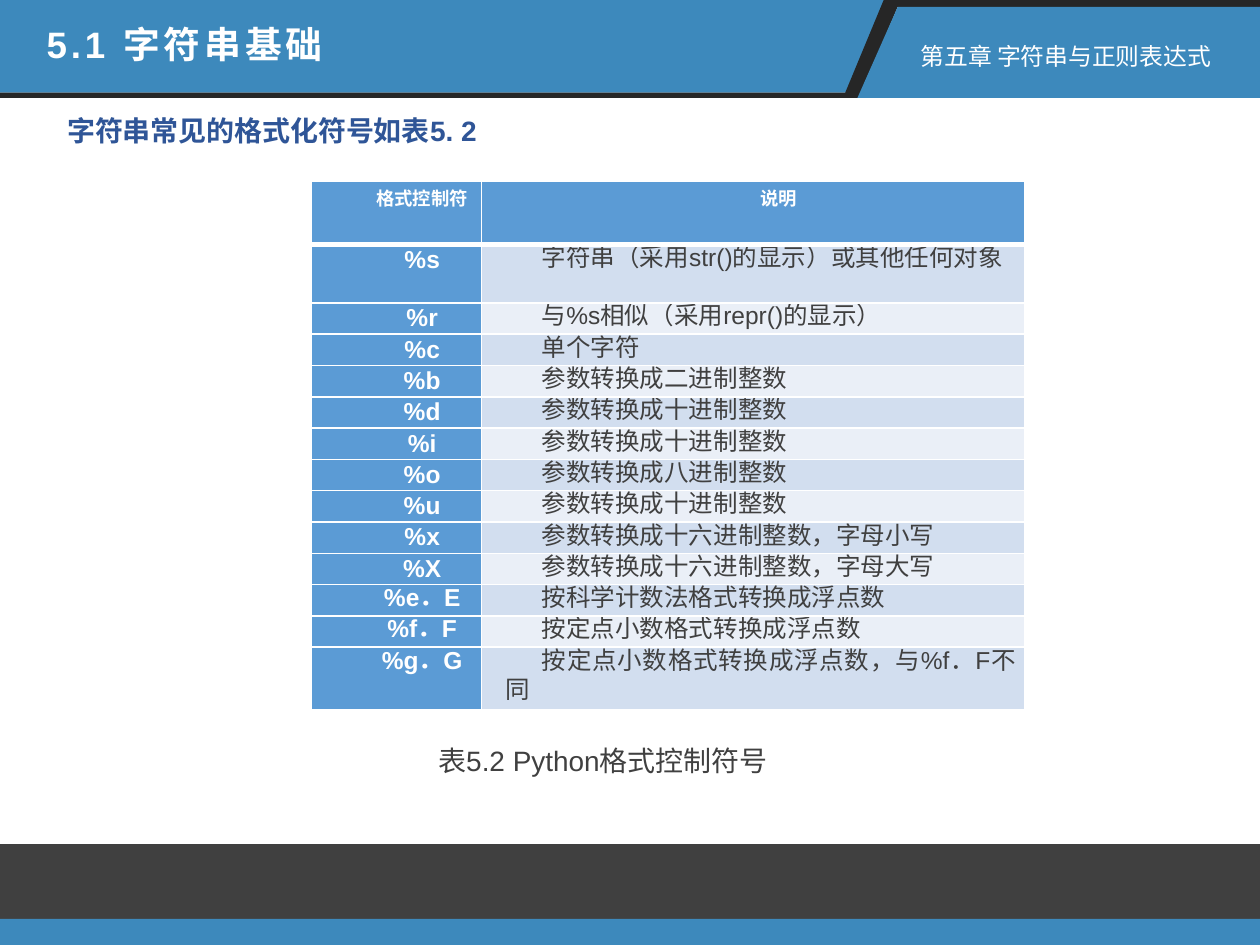
from dataclasses import dataclass

from lxml import etree
from pptx import Presentation
from pptx.dml.color import RGBColor
from pptx.enum.lang import MSO_LANGUAGE_ID
from pptx.enum.shapes import MSO_SHAPE
from pptx.enum.text import MSO_ANCHOR, MSO_AUTO_SIZE, PP_ALIGN
from pptx.oxml.ns import qn
from pptx.util import Pt

RECT = MSO_SHAPE.RECTANGLE
LEFT, CENTER, JUST = PP_ALIGN.LEFT, PP_ALIGN.CENTER, PP_ALIGN.JUSTIFY
TOP = MSO_ANCHOR.TOP
FIXED = MSO_AUTO_SIZE.NONE
CHINESE = MSO_LANGUAGE_ID.SIMPLIFIED_CHINESE

WIDE, HIGH = 720, 540
INDENT = 20.9

ROWS = [
    ("格式控制符", "说明"),
    ("%s", "字符串（采用str()的显示）或其他任何对象"),
    ("%r", "与%s相似（采用repr()的显示）"),
    ("%c", "单个字符"),
    ("%b", "参数转换成二进制整数"),
    ("%d", "参数转换成十进制整数"),
    ("%i", "参数转换成十进制整数"),
    ("%o", "参数转换成八进制整数"),
    ("%u", "参数转换成十进制整数"),
    ("%x", "参数转换成十六进制整数，字母小写"),
    ("%X", "参数转换成十六进制整数，字母大写"),
    ("%e．E", "按科学计数法格式转换成浮点数"),
    ("%f．F", "按定点小数格式转换成浮点数"),
    ("%g．G", "按定点小数格式转换成浮点数，与%f．F不同"),
]
COLS = [97.2, 310.3]
TALL = [36, 33.4] + [17.9] * 11 + [35.5]


@dataclass(frozen=True)
class Theme:
    """Colours and type sizes of the slide."""

    font: str = "Arial"
    blue: str = "3D89BC"
    black: str = "262626"
    gray: str = "404040"
    navy: str = "2F5597"
    white: str = "FFFFFF"
    head: str = "5B9BD5"
    odd: str = "D2DEEF"
    even: str = "EAEFF7"
    title: float = 21
    body: float = 16
    label: float = 13.6
    cell: float = 14
    small: float = 10.5


class Deck:
    """Holds the style and the current slide."""

    def __init__(self, theme):
        """Open a title-only slide."""
        self.theme = theme
        self.file = Presentation()
        self.file.slide_width, self.file.slide_height = Pt(WIDE), Pt(HIGH)
        self.slide = self.file.slides.add_slide(self.file.slide_layouts[5])
        self.shapes = self.slide.shapes

    def paint(self, shape, color):
        """Give a shape a flat fill without line or shadow."""
        shape.shadow.inherit = False
        shape.fill.solid()
        shape.fill.fore_color.rgb = RGBColor.from_string(color)
        shape.line.fill.background()

    def bar(self, box, color):
        """Draw a plain rectangle."""
        self.paint(self.shapes.add_shape(RECT, *map(Pt, box)), color)

    def outline(self, points, color):
        """Draw a closed polygon."""
        pen = self.shapes.build_freeform(*points[0], scale=Pt(1))
        pen.add_line_segments(points[1:], close=True)
        self.paint(pen.convert_to_shape(), color)

    def letter(self, frame, text, size, color, bold=False, align=LEFT):
        """Set one styled paragraph and return it."""
        frame.text = text
        para = frame.paragraphs[0]
        para.alignment = align
        for run in para.runs:
            font = run.font
            font.name, font.size, font.bold = self.theme.font, Pt(size), bold
            font.color.rgb = RGBColor.from_string(color)
            font.language_id = CHINESE
        return para

    def indent(self, para, left, first):
        """Set the left margin and first-line indent."""
        props = para._p.get_or_add_pPr()
        props.set("marL", str(Pt(left)))
        props.set("indent", str(Pt(first)))

    def title(self, box, text):
        """Fill the title and bring it in front of the banner."""
        shape = self.shapes.title
        shape.left, shape.top, shape.width, shape.height = map(Pt, box)
        frame = shape.text_frame
        para = self.letter(frame, text, self.theme.title, self.theme.white, True)
        frame.auto_size, frame.vertical_anchor = FIXED, TOP
        para.runs[0]._r.get_or_add_rPr().set("spc", "220")
        shape.element.getparent().append(shape.element)

    def text(self, box, text, size, color, bold=False):
        """Add a wrapped text box and return its paragraph."""
        frame = self.shapes.add_textbox(*map(Pt, box)).text_frame
        frame.word_wrap = True
        return self.letter(frame, text, size, color, bold)

    def border(self, cell, row):
        """Rule a cell in white, thick below the header."""
        props = cell._tc.get_or_add_tcPr()
        thick = {("lnB", 0), ("lnT", 1)}
        for spot, side in enumerate(("lnL", "lnR", "lnT", "lnB")):
            width = Pt(3 if (side, row) in thick else 1)
            line = etree.Element(qn(f"a:{side}"), w=str(width))
            fill = etree.SubElement(line, qn("a:solidFill"))
            etree.SubElement(fill, qn("a:srgbClr"), val=self.theme.white)
            props.insert(spot, line)

    def cell(self, cell, text, row, col):
        """Format one table cell by its row and column."""
        look = self.theme
        key = row == 0 or col == 0
        cell.margin_left = cell.margin_right = Pt(5)
        cell.margin_top = cell.margin_bottom = 0
        cell.fill.solid()
        fill = look.head if key else look.odd if row % 2 else look.even
        cell.fill.fore_color.rgb = RGBColor.from_string(fill)
        para = self.letter(
            cell.text_frame, text, look.cell if row else look.small,
            look.white if key else look.gray, key, CENTER if key else JUST)
        para.line_spacing = Pt(16.7)
        self.indent(para, 8.6, INDENT)
        self.border(cell, row)

    def table(self, left, top):
        """Add the table of format symbols."""
        size = map(Pt, (left, top, sum(COLS), sum(TALL)))
        grid = self.shapes.add_table(len(ROWS), len(COLS), *size).table
        for col, width in zip(grid.columns, COLS):
            col.width = Pt(width)
        for row, (texts, height) in enumerate(zip(ROWS, TALL)):
            grid.rows[row].height = Pt(height)
            for col, text in enumerate(texts):
                self.cell(grid.cell(row, col), text, row, col)


def main():
    """Build and save the slide."""
    look = Theme()
    deck = Deck(look)
    deck.outline([(0, 0), (WIDE, 0), (507.6, 0), (485.3, 52.6), (0, 52.6)],
                 look.blue)
    deck.outline([(505.4, 0), (WIDE, 0), (WIDE, 3.6), (513.4, 3.6),
                  (491, 56.2), (0, 56.2), (0, 52.6), (483.1, 52.6)],
                 look.black)
    deck.outline([(513.4, 3.6), (WIDE, 3.6), (WIDE, 56.2), (490.5, 56.2)],
                 look.blue)
    deck.bar((0, 482.4, WIDE, 43), look.gray)
    deck.bar((0, 525, WIDE, 15), look.blue)
    deck.title((19.4, 8.6, 281.5, 32.4), "5.1 字符串基础")
    deck.text((519, 20.2, 201, 23.8), "第五章 字符串与正则表达式",
              look.label, look.white)
    intro = deck.text((31.3, 63.4, 558.7, 43.2),
                      "字符串常见的格式化符号如表5. 2", look.body, look.navy, True)
    intro.line_spacing = 0.9
    deck.table(177.9, 103.7)
    note = deck.text((222.5, 421.2, 291.6, 46), "表5.2 Python格式控制符号",
                     look.body, look.gray)
    deck.indent(note, 0, INDENT)
    deck.file.save("out.pptx")


if __name__ == "__main__":
    main()
